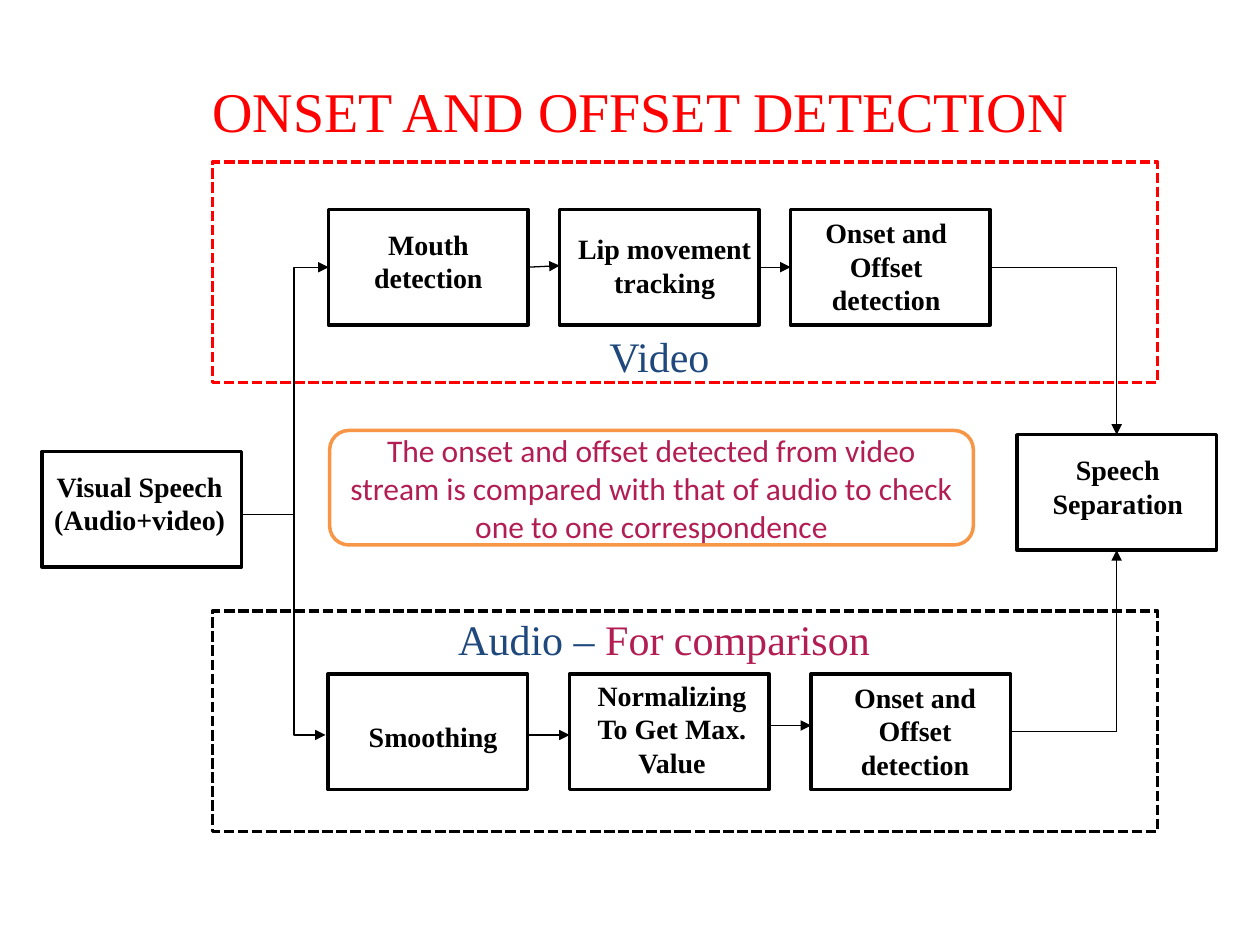
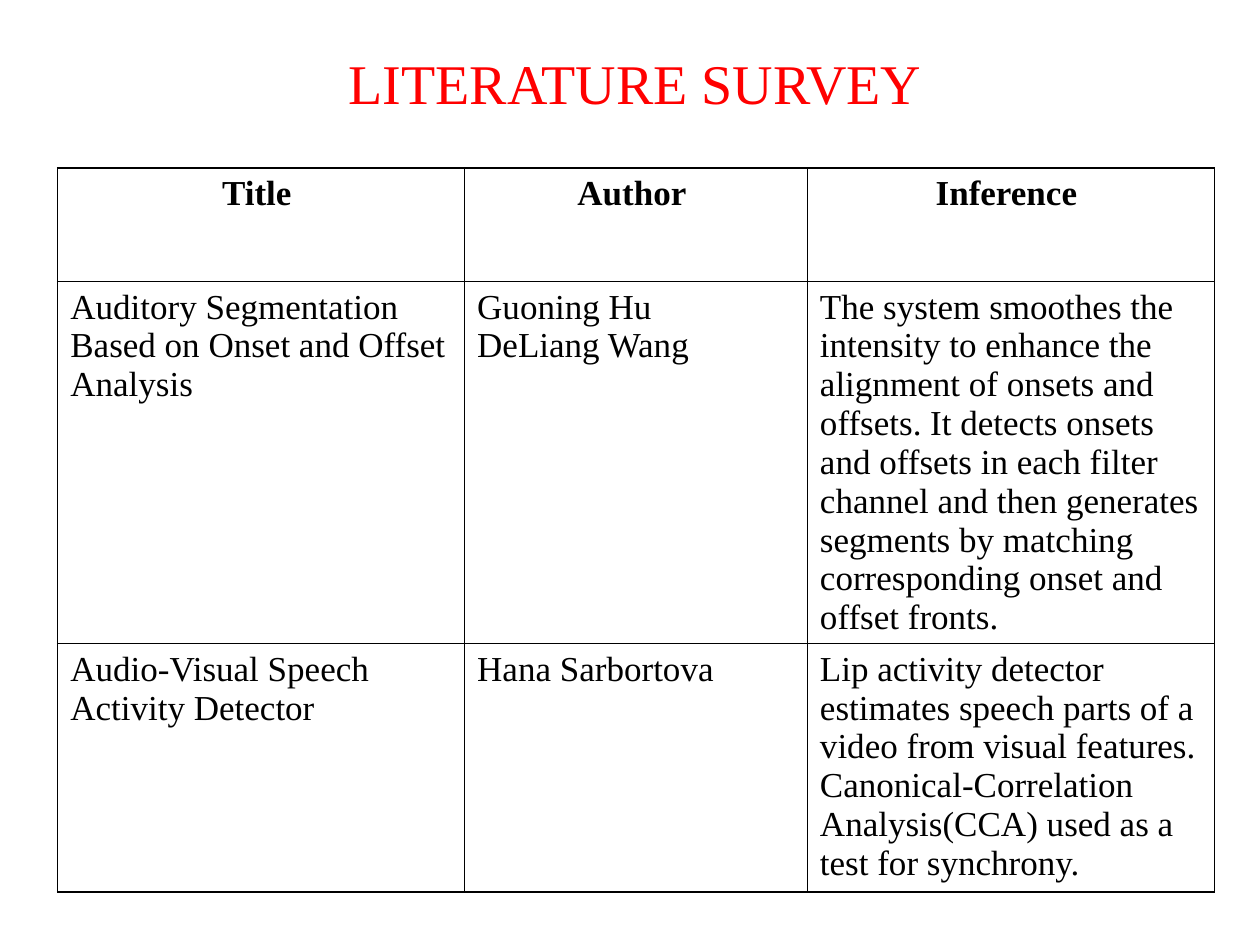
import pptx
import pptx.util
import pptx.dml.color
import pptx.enum.dml
import pptx.enum.shapes
import pptx.enum.text
import pptx.oxml
import pptx.oxml.ns
from dataclasses import dataclass
from lxml import etree

Pt = pptx.util.Pt
SHAPE = pptx.enum.shapes.MSO_SHAPE
CONNECTOR = pptx.enum.shapes.MSO_CONNECTOR
ANCHOR = pptx.enum.text.MSO_ANCHOR
ALIGN = pptx.enum.text.PP_ALIGN
qn = pptx.oxml.ns.qn


@dataclass(frozen=True)
class Theme:
    serif: str = "Times New Roman"
    sans: str = "Calibri"
    ink: str = "000000"
    paper: str = "FFFFFF"
    red: str = "FF0000"
    navy: str = "1F497D"
    crimson: str = "B21E53"
    orange: str = "F79646"
    title: float = 32
    caption: float = 24
    cell: float = 20
    cell_leading: float = 22.2
    note: float = 18
    label: float = 16
    outline: float = 2
    arrow: float = 0.75
    border: float = 1


class Deck:
    COLUMNS, ROWS = 120, 90
    STEP_W, STEP_H = 19, 11

    def __init__(self, theme):
        self.theme = theme
        self.show = pptx.Presentation()
        self.show.slide_width = pptx.util.Inches(10)
        self.show.slide_height = pptx.util.Inches(7.5)
        self.slide = None

    def new_slide(self):
        self.slide = self.show.slides.add_slide(self.show.slide_layouts[6])

    def x(self, columns):
        return round(self.show.slide_width * columns / self.COLUMNS)

    def y(self, rows):
        return round(self.show.slide_height * rows / self.ROWS)

    def area(self, left, top, width, height):
        return self.x(left), self.y(top), self.x(width), self.y(height)

    def color(self, value):
        return pptx.dml.color.RGBColor.from_string(value)

    def style(self, run, size, color, bold=False, face=None):
        run.font.name = face or self.theme.serif
        run.font.size = Pt(size)
        run.font.bold = bold
        run.font.color.rgb = self.color(color)

    def fill_text(self, frame, text, size, color, bold=False, face=None, align=ALIGN.CENTER):
        frame.text = text
        for paragraph in frame.paragraphs:
            paragraph.alignment = align
            for run in paragraph.runs:
                self.style(run, size, color, bold, face)

    def text(self, area, text, size, color, bold=False, wrap=True, anchor=ANCHOR.TOP):
        frame = self.slide.shapes.add_textbox(*self.area(*area)).text_frame
        frame.word_wrap = wrap
        frame.vertical_anchor = anchor
        self.fill_text(frame, text, size, color, bold)
        return frame

    def title(self, area, text):
        self.text(area, text, self.theme.title, self.theme.red, anchor=ANCHOR.MIDDLE)

    def outline(self, area, color, kind=SHAPE.RECTANGLE, dashed=False):
        shape = self.slide.shapes.add_shape(kind, *self.area(*area))
        shape.shadow.inherit = False
        shape.fill.background()
        shape.line.color.rgb = self.color(color)
        shape.line.width = Pt(self.theme.outline)
        if dashed:
            shape.line.dash_style = pptx.enum.dml.MSO_LINE.SQUARE_DOT
            shape.line._ln.find(qn("a:prstDash")).set("val", "sysDash")
        return shape

    def step(self, left, top, text, shift, width, wrap=True):
        self.outline((left, top, self.STEP_W, self.STEP_H), self.theme.ink)
        across, down = shift
        self.text((left + across, top + down, width, self.STEP_H - 2 * down),
                  text, self.theme.label, self.theme.ink, bold=True, wrap=wrap)

    def note(self, area, text):
        shape = self.outline(area, self.theme.orange, SHAPE.ROUNDED_RECTANGLE)
        shape.fill.solid()
        shape.fill.fore_color.rgb = self.color(self.theme.paper)
        shape.text_frame.word_wrap = True
        shape.text_frame.vertical_anchor = ANCHOR.MIDDLE
        self.fill_text(shape.text_frame, text, self.theme.note, self.theme.crimson,
                       face=self.theme.sans)

    def arrow(self, start, end, bent=False, tip="tailEnd"):
        kind = CONNECTOR.ELBOW if bent else CONNECTOR.STRAIGHT
        line = self.slide.shapes.add_connector(
            kind, self.x(start[0]), self.y(start[1]), self.x(end[0]), self.y(end[1]))
        line.line.color.rgb = self.color(self.theme.ink)
        line.line.width = Pt(self.theme.arrow)
        properties = line._element.spPr
        if bent:
            properties.find(qn("a:prstGeom")).set("prst", "bentConnector2")
        if tip:
            etree.SubElement(line.line._ln, qn("a:" + tip), type="triangle")
        etree.SubElement(properties, qn("a:effectLst"))

    def border(self, cell):
        properties = cell._tc.get_or_add_tcPr()
        for index, side in enumerate(("lnL", "lnR", "lnT", "lnB")):
            edge = etree.Element(qn("a:" + side), w=str(int(Pt(self.theme.border))))
            paint = etree.SubElement(edge, qn("a:solidFill"))
            etree.SubElement(paint, qn("a:srgbClr"), val=self.theme.ink)
            properties.insert(index, edge)

    def table(self, left, top, widths, heights, rows):
        table = self.slide.shapes.add_table(
            len(heights), len(widths),
            *self.area(left, top, sum(widths), sum(heights))).table
        table.first_row = table.horz_banding = False
        for column, width in zip(table.columns, widths):
            column.width = self.x(width)
        for row, height in zip(table.rows, heights):
            row.height = self.y(height)
        for r, row in enumerate(rows):
            for c, content in enumerate(row):
                cell = table.cell(r, c)
                cell.fill.solid()
                cell.fill.fore_color.rgb = self.color(self.theme.paper)
                self.border(cell)
                self.fill_text(cell.text_frame, content, self.theme.cell, self.theme.ink,
                               bold=r == 0, align=ALIGN.LEFT if r else ALIGN.CENTER)
                for paragraph in cell.text_frame.paragraphs:
                    paragraph.line_spacing = Pt(self.theme.cell_leading)


theme = Theme()
deck = Deck(theme)

deck.new_slide()
deck.title((4, 5, 114, 11), "ONSET AND OFFSET DETECTION")

band_left, band_width, band_height = 20.25, 90, 21
deck.outline((band_left, 15.45, band_width, band_height), theme.red, dashed=True)
deck.outline((band_left, 58.2, band_width, band_height), theme.ink, dashed=True)

video_left, video_top, video_pitch = 31.3, 19.95, 22
audio_left, audio_top, audio_pitch = 31.25, 64.2, 23
video_steps = [
    ("Mouth detection", (0, 1.1), 19),
    ("Lip movement tracking", (0, 1.55), 20),
    ("Onset and Offset detection", (1.1, 0), 16),
]
audio_steps = [
    ("Smoothing", (1.75, 3.7), 16.5),
    ("Normalizing To Get Max. Value", (0.75, -0.2), 18),
    ("Onset and Offset detection", (1.9, 0), 16),
]
for left, top, pitch, steps in (
        (video_left, video_top, video_pitch, video_steps),
        (audio_left, audio_top, audio_pitch, audio_steps)):
    for index, (name, shift, width) in enumerate(steps):
        deck.step(left + index * pitch, top, name, shift, width)

speech_left, speech_top = 96.85, 41.4
deck.step(4, 43, "Visual Speech\n(Audio+video)", (-0.2, 1.1), 19, wrap=False)
deck.step(speech_left, speech_top, "Speech Separation", (1.6, 1.1), 16)

deck.text((53.3, 30.85, 20, 6), "Video ", theme.caption, theme.navy)
comparison = deck.text((39, 57.8, 49.5, 6), "Audio – ", theme.caption, theme.navy)
contrast = comparison.paragraphs[0].add_run()
contrast.text = "For comparison "
deck.style(contrast, theme.caption, theme.crimson)
deck.note((31.4, 41, 61.3, 10.9),
          "The onset and offset detected from video stream is compared with "
          "that of audio to check one to one correspondence")

fork = (28, 49)
video_flow, audio_flow = 25.45, 70
deck.arrow((23, 49), fork, tip=None)
deck.arrow((video_left, video_flow), fork, bent=True, tip="headEnd")
deck.arrow((31, audio_flow), fork, bent=True, tip="headEnd")

for index, (video_end, audio_y) in enumerate(((25.3, audio_flow), (video_flow, 69.1))):
    video_exit = video_left + index * video_pitch + deck.STEP_W
    audio_exit = audio_left + index * audio_pitch + deck.STEP_W
    deck.arrow((video_exit, video_flow), (video_left + (index + 1) * video_pitch, video_end))
    deck.arrow((audio_exit, audio_y), (audio_left + (index + 1) * audio_pitch, audio_y))

merge = speech_left + deck.STEP_W / 2
deck.arrow((video_left + 2 * video_pitch + deck.STEP_W, video_flow),
           (merge, speech_top), bent=True)
deck.arrow((audio_left + 2 * audio_pitch + deck.STEP_W, 69.7),
           (merge, speech_top + deck.STEP_H), bent=True)

deck.new_slide()
deck.title((22, 4, 77, 7.7), "LITERATURE SURVEY")
deck.table(5.5, 16, (38.75, 32.65, 38.75), (10.8, 34.45, 23.65), [
    ("Title ", "Author ", "Inference "),
    ("Auditory Segmentation Based on Onset and Offset Analysis",
     "Guoning Hu\nDeLiang Wang",
     "The system smoothes the intensity to enhance the alignment of onsets and "
     "offsets. It detects onsets and offsets in each filter channel and then "
     "generates segments by matching corresponding onset and offset fronts."),
    ("Audio-Visual Speech Activity Detector",
     "Hana Sarbortova ",
     "Lip activity detector estimates speech parts of a video from visual "
     "features. Canonical-Correlation Analysis(CCA) used as a test for synchrony."),
])

deck.show.save("out.pptx")
